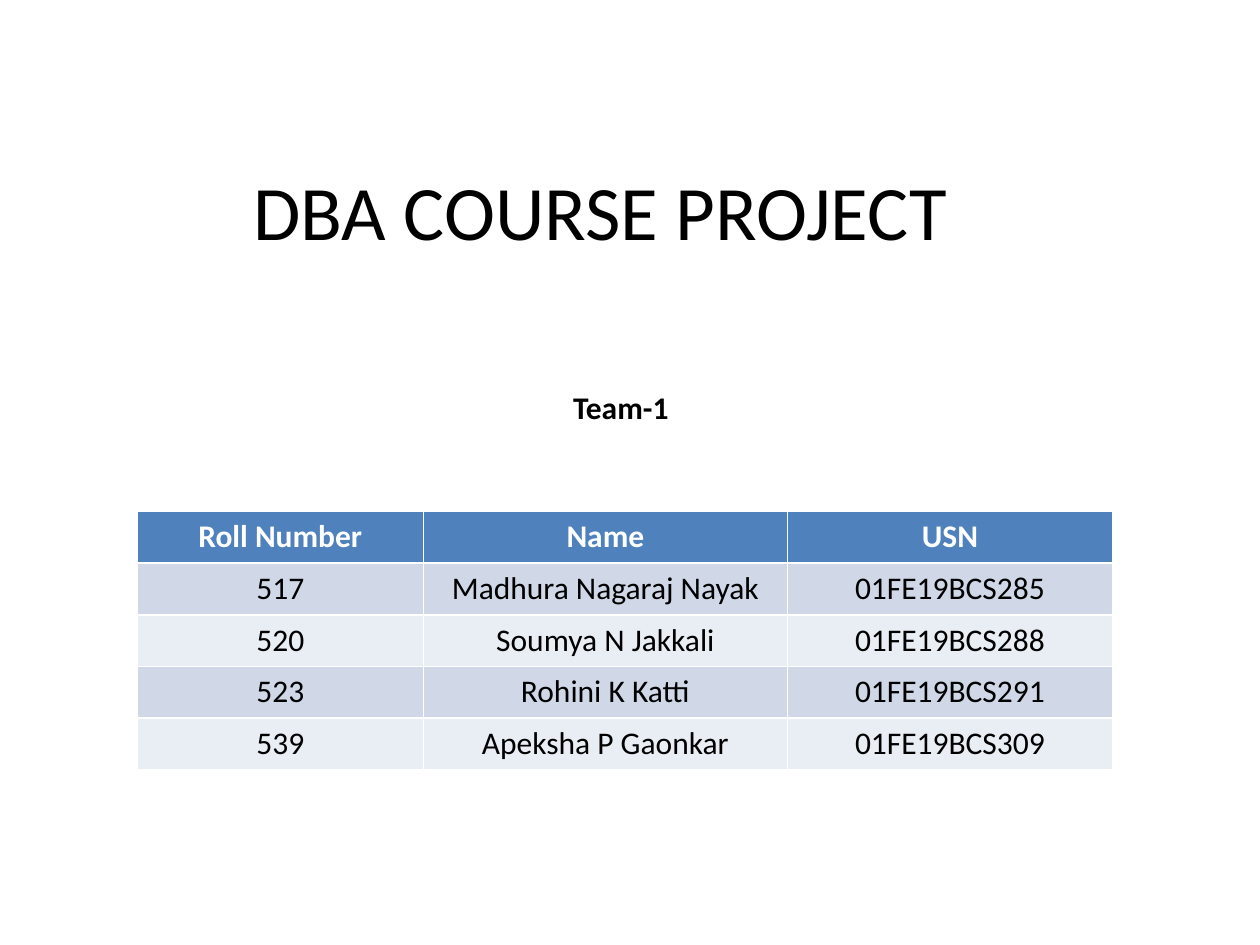
from pptx import Presentation
from pptx.dml.color import RGBColor
from pptx.enum.text import MSO_ANCHOR, MSO_AUTO_SIZE, PP_ALIGN
from pptx.util import Inches, Pt

CENTER = PP_ALIGN.CENTER
LEFT = PP_ALIGN.LEFT
MIDDLE = MSO_ANCHOR.MIDDLE
GROW = MSO_AUTO_SIZE.SHAPE_TO_FIT_TEXT
NO_FIT = MSO_AUTO_SIZE.NONE
TITLE_ONLY = 5

MEMBERS = [
    ("Roll Number", "Name", "USN"),
    ("517", "Madhura Nagaraj Nayak", "01FE19BCS285"),
    ("520", "Soumya N Jakkali", "01FE19BCS288"),
    ("523", "Rohini K Katti", "01FE19BCS291"),
    ("539", "Apeksha P Gaonkar", "01FE19BCS309"),
]


def rgb(value):
    return RGBColor.from_string(value)


class SlideBuilder:
    font = "Calibri"
    text_color = "000000"
    header_color = "FFFFFF"
    header_fill = "4F81BD"
    band_fills = ("D0D8E8", "E9EDF4")

    def __init__(self, prs):
        self.s = prs.slides.add_slide(prs.slide_layouts[TITLE_ONLY])

    def add_text(self, tf, text, size, color=text_color, bold=False, align=CENTER):
        p = tf.paragraphs[0]
        p.alignment = align
        r = p.add_run()
        r.text = text
        formats = {"name": self.font, "size": Pt(size), "bold": bold}
        for key, value in formats.items():
            setattr(r.font, key, value)
        r.font.color.rgb = rgb(color)

    def title(self, text, left, top, width, height):
        sp = self.s.shapes.title
        box = {"left": left, "top": top, "width": width, "height": height}
        for key, value in box.items():
            setattr(sp, key, Inches(value))
        tf = sp.text_frame
        tf.auto_size = NO_FIT
        tf.vertical_anchor = MIDDLE
        self.add_text(tf, text, 44)

    def label(self, text, left, top, width, height):
        box = [Inches(v) for v in (left, top, width, height)]
        tf = self.s.shapes.add_textbox(*box).text_frame
        tf.word_wrap = True
        tf.auto_size = GROW
        self.add_text(tf, text, 18, bold=True, align=LEFT)

    def table(self, rows, left, top, col_widths, row_height):
        box = [Inches(v) for v in (left, top, sum(col_widths), row_height * len(rows))]
        table = self.s.shapes.add_table(len(rows), len(col_widths), *box).table
        for col, width in zip(table.columns, col_widths):
            col.width = Inches(width)
        for i, values in enumerate(rows):
            header = i == 0
            fill = self.header_fill if header else self.band_fills[(i - 1) % 2]
            color = self.header_color if header else self.text_color
            table.rows[i].height = Inches(row_height)
            for cell, text in zip(table.rows[i].cells, values):
                cell.fill.solid()
                cell.fill.fore_color.rgb = rgb(fill)
                self.add_text(cell.text_frame, text, 18, color, header)


def main():
    prs = Presentation()
    prs.slide_width = Inches(10)
    prs.slide_height = Inches(7.5)
    slide = SlideBuilder(prs)
    slide.title("DBA COURSE PROJECT", 0.86, 0.86, 7.81, 1.61)
    slide.table(MEMBERS, 1.09, 4.06, (2.27, 2.89, 2.58), 0.41)
    slide.label("Team-1", 4.45, 3.03, 1.17, 0.4)
    prs.save("out.pptx")


if __name__ == "__main__":
    main()
